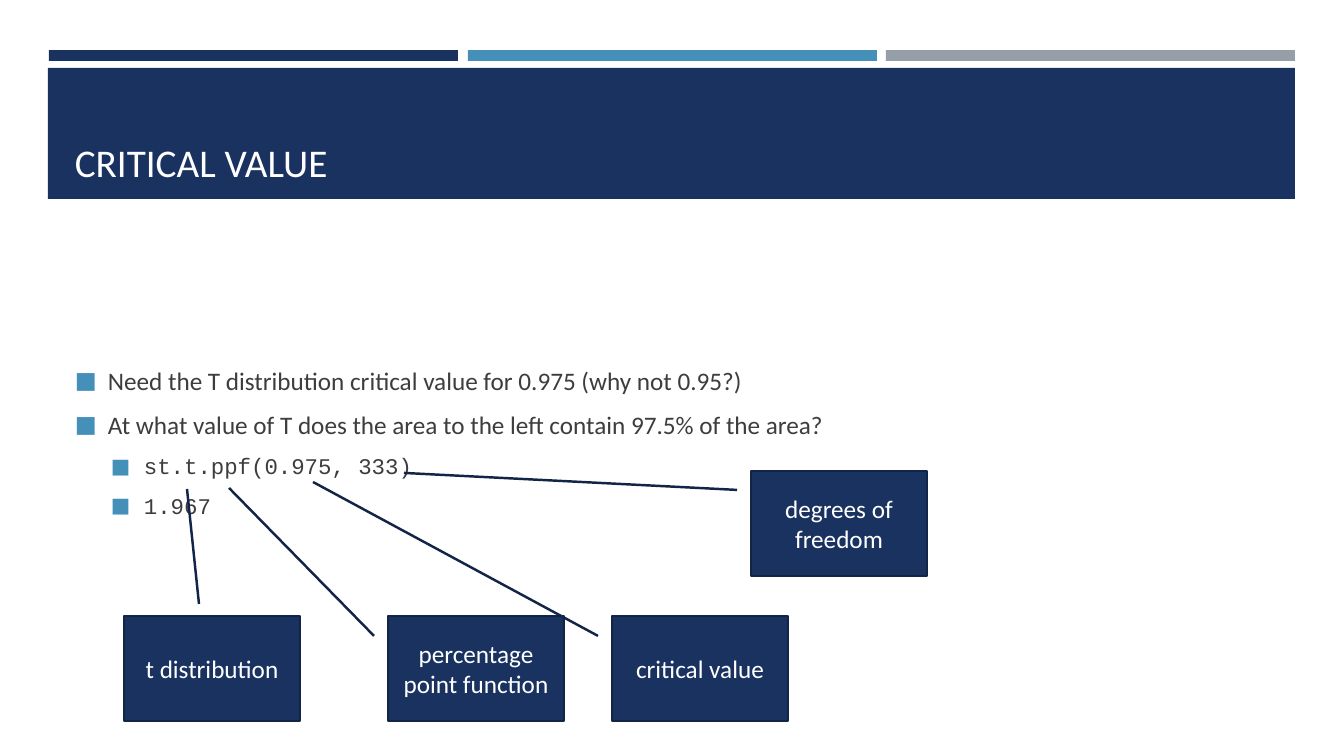
from lxml import etree
from pptx import Presentation
from pptx import util as u
from pptx.dml.color import RGBColor
from pptx.enum import shapes, text
from pptx.oxml.ns import qn

PX = 914400 / 100.8
NAVY = RGBColor(0x1A, 0x32, 0x60)
NAVY_EDGE = RGBColor(0x13, 0x25, 0x47)
BLUE = RGBColor(0x45, 0x90, 0xB8)
GREY = RGBColor(0x96, 0x9F, 0xA7)
INK = RGBColor(0x3D, 0x3D, 0x3D)
WHITE = RGBColor(0xFF, 0xFF, 0xFF)

deck = Presentation()
deck.slide_width, deck.slide_height = u.Inches(13.333), u.Inches(7.5)
slide = deck.slides.add_slide(deck.slide_layouts[6])


def px(*lengths):
    return [round(length * PX) for length in lengths]


def write(frame, words, size=18, color=WHITE, font="Calibri", align=text.PP_ALIGN.LEFT,
          anchor=text.MSO_ANCHOR.MIDDLE, bullet_left=None):
    """Add a paragraph to the frame, bulleted when bullet_left is given."""
    frame.word_wrap = True
    frame.vertical_anchor = anchor
    first = not frame.text
    line = frame.paragraphs[0] if first else frame.add_paragraph()
    line.alignment = align
    if bullet_left is not None:
        props = line._p.get_or_add_pPr()
        hang, left = px(33, bullet_left + 33)
        props.set("marL", str(left))
        props.set("indent", str(-hang))
        if not first:
            line.space_before = u.Pt(size * 0.2)
        line.space_after = u.Pt(6)
        tint = etree.SubElement(props, qn("a:buClr"))
        etree.SubElement(tint, qn("a:srgbClr"), val=str(BLUE))
        etree.SubElement(props, qn("a:buSzPct"), val="92000")
        etree.SubElement(props, qn("a:buFont"), typeface="Calibri")
        etree.SubElement(props, qn("a:buChar"), char="■")
    run = line.add_run()
    run.text = words
    run.font.size = u.Pt(size)
    run.font.name = font
    run.font.color.rgb = color


# Header bands
bands = [(49, 50, 409, 11, NAVY), (468, 50, 409, 11, BLUE), (886, 50, 409, 11, GREY),
         (48, 68, 1247, 131, NAVY)]
for left, top, width, height, color in bands:
    band = slide.shapes.add_shape(shapes.MSO_SHAPE.RECTANGLE, *px(left, top, width, height))
    band.shadow.inherit = False
    band.fill.solid()
    band.fill.fore_color.rgb = color
    band.line.fill.background()

title = slide.shapes.add_textbox(*px(65, 78, 1216, 112)).text_frame
write(title, "CRITICAL VALUE", size=28, anchor=text.MSO_ANCHOR.BOTTOM)

body = slide.shapes.add_textbox(*px(65, 240, 1216, 405)).text_frame
for point in ("Need the T distribution critical value for 0.975 (why not 0.95?)",
              "At what value of T does the area to the left contain 97.5% of the area?"):
    write(body, point, color=INK, bullet_left=0)
for code in ("st.t.ppf(0.975, 333)", "1.967"):
    write(body, code, size=16, color=INK, font="Courier New", bullet_left=36)

# Callouts: label, box corner, then where the leader leaves the box and where it points
BOX_W, BOX_H = 176, 105
callouts = [
    ("t distribution", (124, 616), (199, 604), (187, 489)),
    ("percentage point function", (388, 616), (374, 636), (229, 488)),
    ("critical value", (612, 616), (598, 636), (313, 482)),
    ("degrees of freedom", (751, 471), (737, 490), (404, 473)),
]
for label, (left, top), *leader in callouts:
    callout = slide.shapes.add_shape(shapes.MSO_SHAPE.LINE_CALLOUT_1,
                                     *px(left, top, BOX_W, BOX_H))
    callout.shadow.inherit = False
    for end, (x, y) in enumerate(leader):
        callout.adjustments[2 * end] = (y - top) / BOX_H
        callout.adjustments[2 * end + 1] = (x - left) / BOX_W
    callout.fill.solid()
    callout.fill.fore_color.rgb = NAVY
    callout.line.color.rgb = NAVY_EDGE
    callout.line.width = u.Pt(1.75)
    write(callout.text_frame, label, align=text.PP_ALIGN.CENTER)

deck.save("out.pptx")
